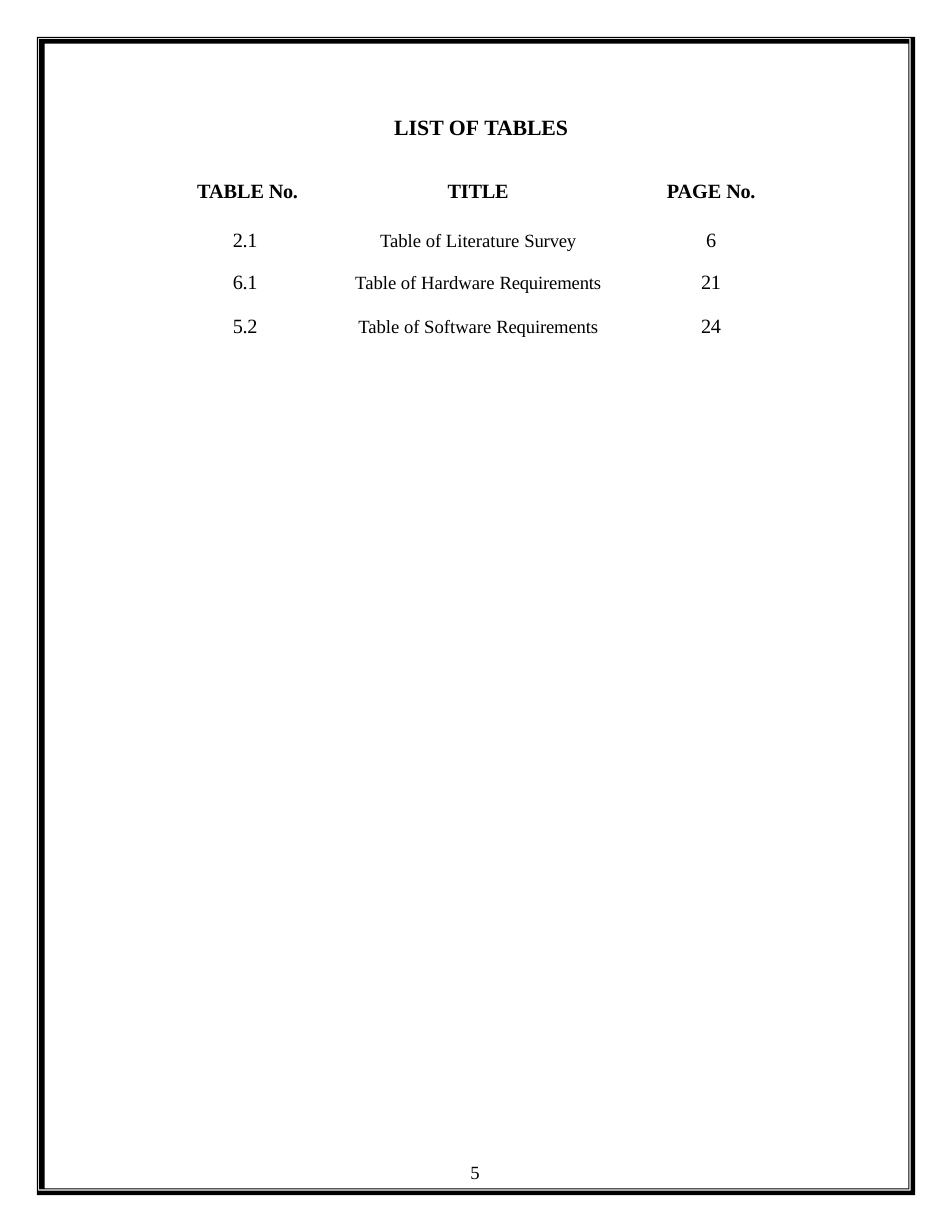
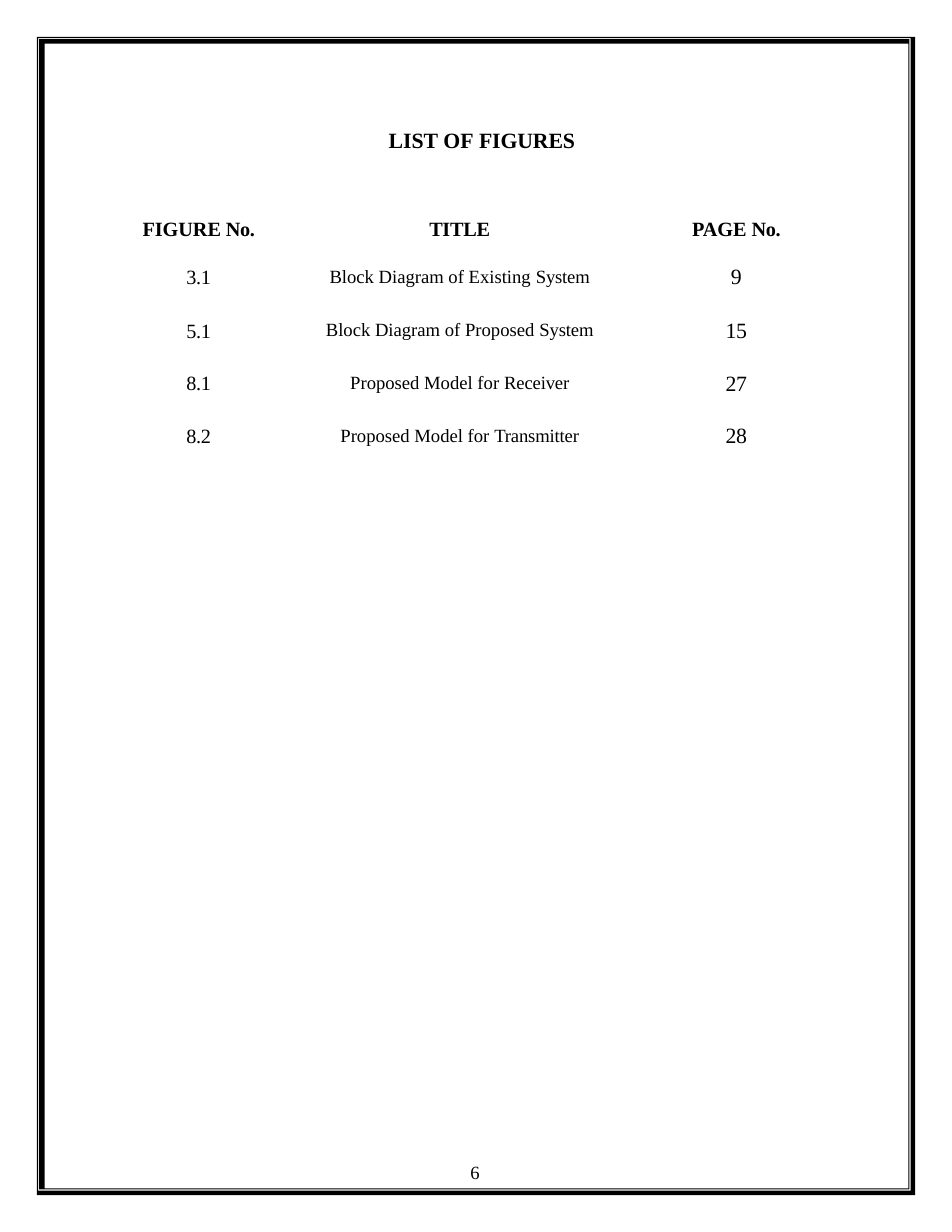
from pptx import Presentation
from pptx.dml.color import RGBColor
from pptx.enum.text import MSO_ANCHOR, PP_ALIGN
from pptx.util import Inches, Pt

BLACK = RGBColor(0, 0, 0)
FONT = "Times New Roman"
WIDE, HIGH = 8.5, 11
LEFT, MID = PP_ALIGN.LEFT, PP_ALIGN.CENTER

PAGES = [
    dict(
        title=("LIST OF", " TABLES"), head=(3.51, 1.01, 1.61, 0.26),
        grid=(1.73, 1.61), cols=(1.17, 2.74, 1.15), rows=(0.33, 0.42, 0.39, 0.29),
        aligns=(LEFT, MID, MID), dents=(0.35, 0, 0.27), first=0.03,
        pads=(0, 0.11, 0.07, 0.07), shifts=(0, 0.01, 0), sizes=(13, 12, 13),
        names="TABLE ", number="5",
        items=[
            ("2.1", "Table of Literature ", "Survey", "6"),
            ("6.1", "Table of Hardware ", "Requirements", "21"),
            ("5.2", "Table of Software ", "Requirements", "24"),
        ],
    ),
    dict(
        title=("LIST OF", " FIGURES"), head=(3.46, 1.12, 1.7, 0.26),
        grid=(1.06, 1.95), cols=(1.43, 3.23, 1.29), rows=(0.32, 0.47, 0.47, 0.47, 0.34),
        aligns=(MID, MID, MID), dents=(0, 0, 0.42), first=0,
        pads=(0, 0.11, 0.12, 0.12, 0.12), shifts=(0, 0, -0.01), sizes=(13, 12, 14),
        names="FIGURE ", number="6",
        items=[
            ("3.1", "Block Diagram of Existing ", "System", "9"),
            ("5.1", "Block Diagram of Proposed ", "System", "15"),
            ("8.1", "Proposed Model for ", "Receiver", "27"),
            ("8.2", "Proposed Model for ", "Transmitter", "28"),
        ],
    ),
]


def write(para, runs, size, bold=False, align=LEFT, line=None):
    para.alignment = align
    if line:
        para.line_spacing = Pt(line)
    for text, gap in runs:
        run = para.add_run()
        run.text = text
        font = run.font
        font.name, font.size, font.bold = FONT, Pt(size), bold
        font.color.rgb = BLACK
        if gap:
            run._r.get_or_add_rPr().set("spc", str(gap))


def inset(frame, left, top):
    frame.margin_left, frame.margin_top = Inches(left), Inches(top)
    frame.margin_right = frame.margin_bottom = 0
    frame.vertical_anchor = MSO_ANCHOR.TOP
    frame.word_wrap = True


def add_title(slide, box, words):
    title = slide.shapes.title
    title.left, title.top, title.width, title.height = map(Inches, box)
    inset(title.text_frame, 0.01, 0.01)
    write(title.text_frame.paragraphs[0], zip(words, (0, -10)), 14, True)


def add_list(slide, left, top, page):
    cols, rows = page["cols"], page["rows"]
    shape = slide.shapes.add_table(
        len(rows), len(cols), Inches(left), Inches(top),
        Inches(sum(cols)), Inches(sum(rows)))
    table = shape.table
    table.first_row = table.horz_banding = False
    for col, width in zip(table.columns, cols):
        col.width = Inches(width)
    for row, height in zip(table.rows, rows):
        row.height = Inches(height)

    lines = [[[(page["names"], 0), ("No.", -20)], [("TITLE", -10)],
              [("PAGE ", 0), ("No.", -20)]]]
    for mark, start, end, leaf in page["items"]:
        lines.append([[(mark, -20)], [(start, 0), (end, -10)],
                      [(leaf, -50 if len(leaf) == 1 else -20)]])

    for r, line in enumerate(lines):
        top_row = r == 0
        for c, runs in enumerate(line):
            cell = table.cell(r, c)
            cell.fill.background()
            dent = page["first"] if top_row and c == 0 else page["dents"][c]
            pad = 0 if top_row else page["pads"][r] + page["shifts"][c]
            cell.margin_left, cell.margin_top = Inches(dent), Inches(pad)
            cell.margin_right = cell.margin_bottom = 0
            write(cell.text_frame.paragraphs[0], runs,
                  13 if top_row else page["sizes"][c], top_row,
                  page["aligns"][c], 14.2 if top_row else None)


def add_frame(slide, left, top, width, height):
    far, low = width * 100, height * 100
    rings = [(0, 0, far, low), (1, 1, far - 4, low - 4),
             (2, 2, far - 5, low - 5), (7, 6, far - 6, low - 6)]
    pen = None
    for i, (x, y, right, base) in enumerate(rings):
        turn = [(right, y), (right, base), (x, base)]
        if i % 2:
            turn.reverse()
        if pen is None:
            pen = slide.shapes.build_freeform(x, y, Inches(0.01))
        else:
            pen.move_to(x, y)
        pen.add_line_segments(turn, close=True)
    frame = pen.convert_to_shape(Inches(left), Inches(top))
    frame.shadow.inherit = False
    frame.fill.solid()
    frame.fill.fore_color.rgb = BLACK
    frame.line.fill.background()


def add_foot(slide, box, number):
    foot = slide.shapes.add_textbox(*map(Inches, box)).text_frame
    inset(foot, 0.05, 0)
    write(foot.paragraphs[0], [(number, -20)], 12, line=14.1)


def add_page(deck, page):
    slide = deck.slides.add_slide(deck.slide_layouts[5])
    add_title(slide, page["head"], page["title"])
    add_list(slide, *page["grid"], page)
    add_frame(slide, 0.33, 0.33, 7.84, 10.34)
    add_foot(slide, (4.15, 10.37, 0.29, 0.21), page["number"])


def main():
    deck = Presentation()
    deck.slide_width, deck.slide_height = Inches(WIDE), Inches(HIGH)
    for page in PAGES:
        add_page(deck, page)
    deck.save("out.pptx")


if __name__ == "__main__":
    main()
